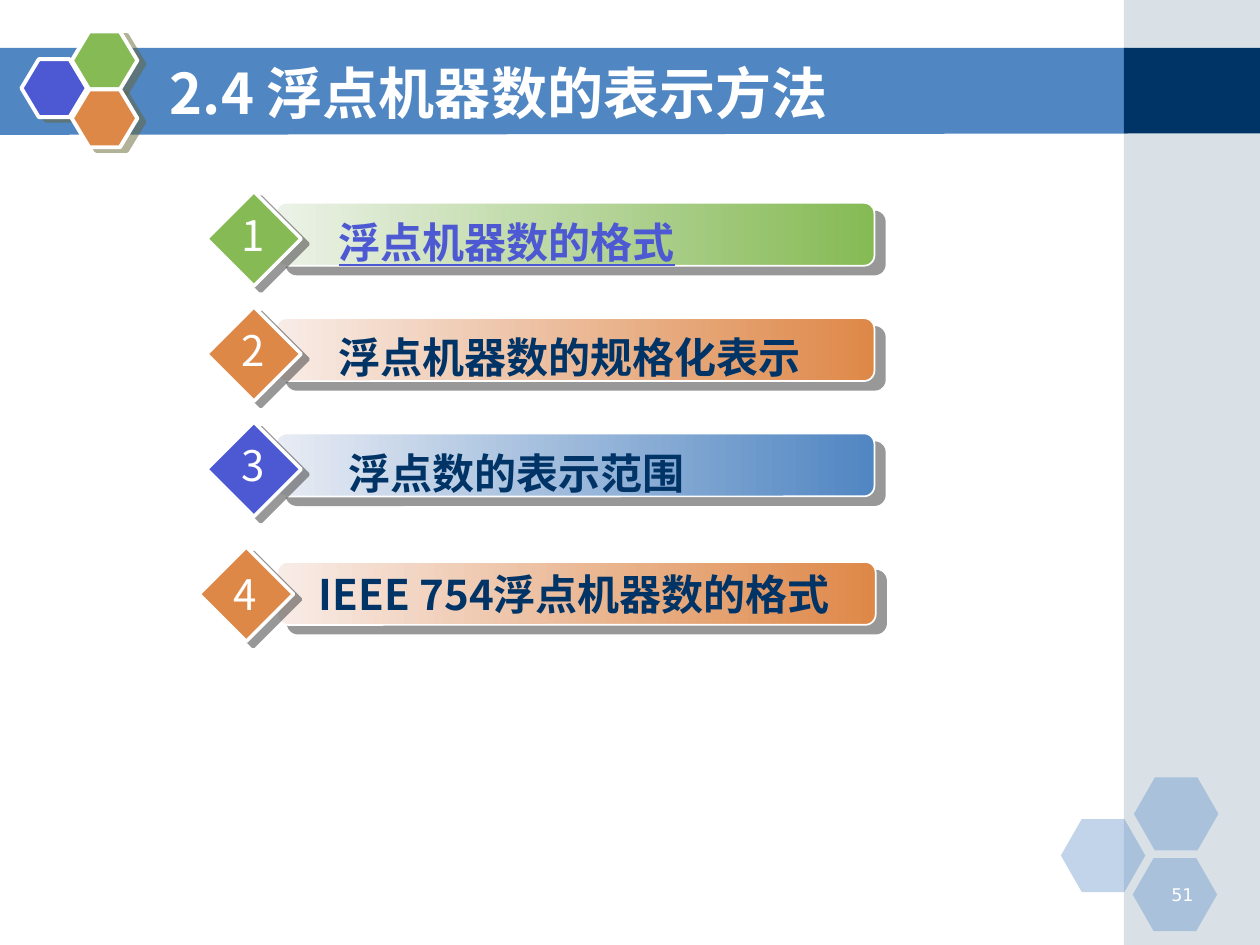
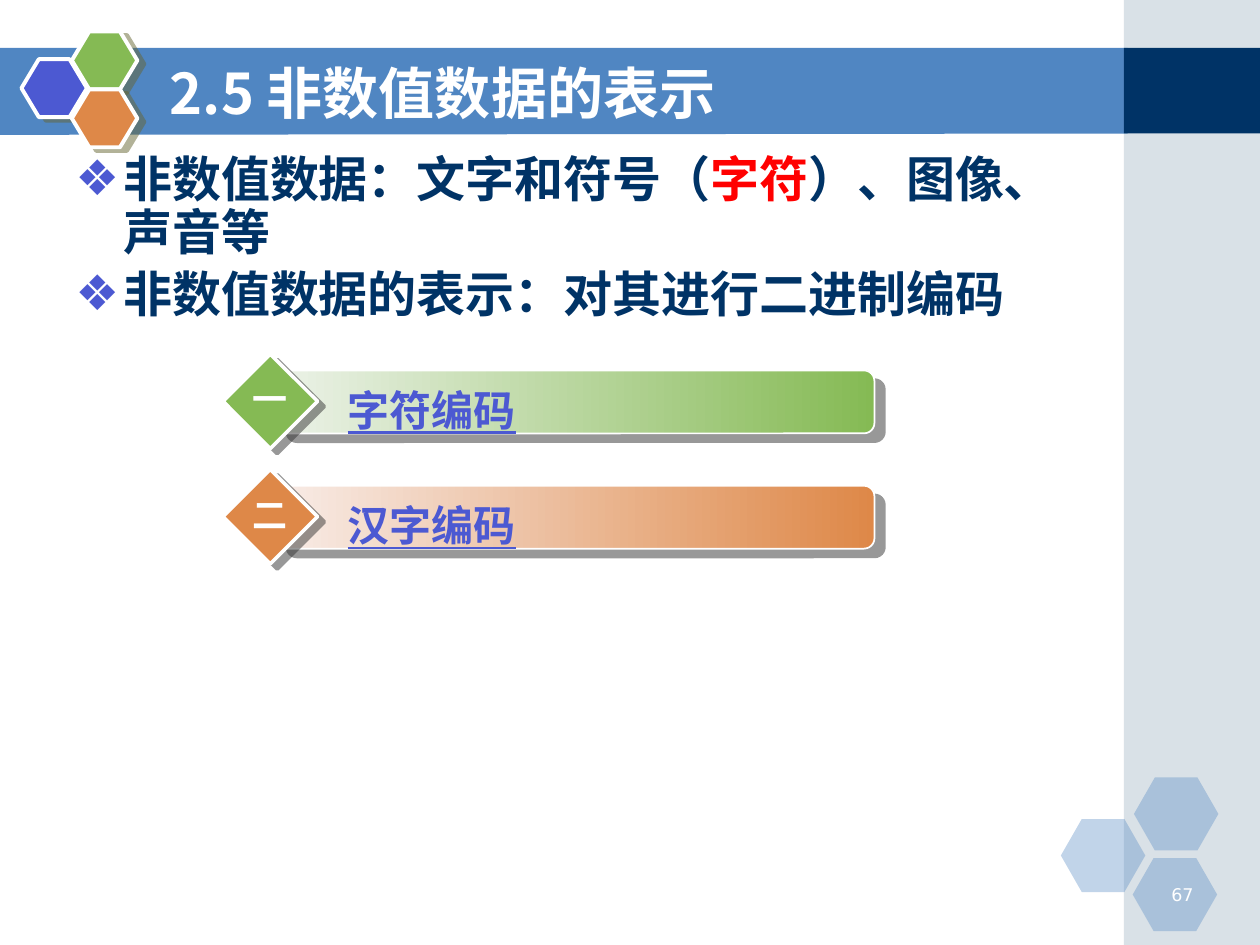
"""Build two section-opening slides of a lecture on number representation."""
from lxml import etree
from pptx import Presentation, util as u
from pptx.dml.color import RGBColor
from pptx.enum import shapes, text
from pptx.oxml import ns

WHITE = RGBColor(0xFF, 0xFF, 0xFF)
NAVY = RGBColor(0x00, 0x33, 0x66)
BLUE = RGBColor(0x50, 0x86, 0xC2)
VIOLET = RGBColor(0x4C, 0x59, 0xD2)
GREEN = RGBColor(0x85, 0xBA, 0x54)
ORANGE = RGBColor(0xDE, 0x88, 0x48)
MIST = RGBColor(0xA0, 0xB5, 0xC4)
RED = RGBColor(0xFF, 0x00, 0x00)
GRAY = RGBColor(0x33, 0x33, 0x33)
OLIVE = RGBColor(0x66, 0x66, 0x33)
PALE = {
    GREEN: RGBColor(0xEC, 0xF2, 0xE8),
    ORANGE: RGBColor(0xF8, 0xEC, 0xE7),
    BLUE: RGBColor(0xE8, 0xEC, 0xF4),
}
FONT = "Noto Sans CJK SC"
WIDE, HIGH = 10, 7.5
SIDE = 8.92
BAND = (0.38, 0.68)
BAR = (4.75, 0.5)
GEM = 0.75
STEP = 0.915

TITLE = dict(size=u.Pt(32), bold=True, color=WHITE)
BODY = dict(size=u.Pt(28), bold=True, color=NAVY)
LABEL = dict(size=u.Pt(24), bold=True, color=NAVY)
LINK = dict(LABEL, color=VIOLET, underline=True)
DIGIT = dict(size=u.Pt(24), color=WHITE)
HAN = dict(size=u.Pt(20), bold=True, color=WHITE)
PAGE = dict(size=u.Pt(10), color=WHITE, name="DejaVu Sans")

BACK_HEXES = [(8.42, 6.5), (9, 6.17), (8.99, 6.81)]
LOGO_HEXES = [(0.17, 0.47, VIOLET), (0.57, 0.25, GREEN), (0.57, 0.71, ORANGE)]

# Each row: mark, label, label style, gem colour, bar colour, label left.
FIRST = [
    ("1", "浮点机器数的格式", LINK, GREEN, GREEN, 2.69),
    ("2", "浮点机器数的规格化表示", LABEL, ORANGE, ORANGE, 2.69),
    ("3", "浮点数的表示范围", LABEL, VIOLET, BLUE, 2.77),
]
LAST = [("4", "IEEE 754浮点机器数的格式", LABEL, ORANGE, ORANGE, 2.53)]
CODES = [
    ("一", "字符编码", LINK, GREEN, GREEN, 2.76),
    ("二", "汉字编码", LINK, ORANGE, ORANGE, 2.76),
]
POINTS = [
    [("非数值数据：文字和符号（", BODY), ("字符", dict(BODY, color=RED)),
     ("）、图像、声音等", BODY)],
    [("非数值数据的表示：对其进行二进制编码", BODY)],
]
SLIDES = [
    dict(title="2.4 浮点机器数的表示方法", page="51", points=[], lists=[
        dict(rows=FIRST, left=2.19, top=1.61, gem=(0.55, 0.09), drop=0.06,
             mark=DIGIT, lift=0),
        dict(rows=LAST, left=2.2, top=4.46, gem=(0.62, 0.12), drop=0,
             mark=DIGIT, lift=0)]),
    dict(title="2.5 非数值数据的表示", page="67", points=POINTS, lists=[
        dict(rows=CODES, left=2.19, top=2.94, gem=(0.42, 0.13), drop=0.06,
             mark=HAN, lift=0.01)]),
]


def add_tag(root, tag, **attrs):
    """Append one drawing element with its attributes."""
    node = etree.SubElement(root, ns.qn(tag))
    for key, val in attrs.items():
        node.set(key, str(val))
    return node


def paint(shape, fill, line=0, alpha=100, shade=None):
    """Give a shape its fill, outline and shadow."""
    shape.shadow.inherit = False
    if isinstance(fill, tuple) and not isinstance(fill, RGBColor):
        shape.fill.gradient()
        shape.fill.gradient_angle = 0
        for stop, tone in zip(shape.fill.gradient_stops, fill):
            stop.color.rgb = tone
    else:
        shape.fill.solid()
        shape.fill.fore_color.rgb = fill
    props = shape.element.spPr
    if alpha < 100:
        tone = props.find(ns.qn("a:solidFill")).find(ns.qn("a:srgbClr"))
        add_tag(tone, "a:alpha", val=alpha * 1000)
    if line:
        shape.line.color.rgb = WHITE
        shape.line.width = u.Pt(line)
    else:
        shape.line.fill.background()
    if shade:
        tone, dist, angle = shade
        cast = add_tag(props.find(ns.qn("a:effectLst")), "a:outerShdw",
                       dist=u.Pt(dist), dir=angle * 60000, algn="ctr",
                       rotWithShape=0)
        add_tag(add_tag(cast, "a:srgbClr", val=tone), "a:alpha", val=50000)


def add_form(slide, kind, box, fill, adj=None, **look):
    """Add a painted preset shape."""
    form = slide.shapes.add_shape(kind, *map(u.Inches, box))
    if adj is not None:
        form.adjustments[0] = adj
    paint(form, fill, **look)


def add_runs(para, runs):
    """Write styled runs into a paragraph."""
    for words, style in runs:
        run = para.add_run()
        run.text = words
        for key, val in {"name": FONT, **style}.items():
            if key == "color":
                run.font.color.rgb = val
            else:
                setattr(run.font, key, val)
        add_tag(run.font._element, "a:ea", typeface=FONT)


def add_text(slide, box, runs, align=text.PP_ALIGN.LEFT, **frame):
    """Add a text box holding one paragraph."""
    area = slide.shapes.add_textbox(*map(u.Inches, box)).text_frame
    for key, val in {"word_wrap": True, **frame}.items():
        setattr(area, key, val)
    area.paragraphs[0].alignment = align
    add_runs(area.paragraphs[0], runs)
    return area


def add_base(slide, title, page):
    """Draw the band, side strip, hexagons, page number and title."""
    top, tall = BAND
    ends = [(8.95, top), (8.95, top + tall), (-0.01, top + tall + 0.01)]
    pen = slide.shapes.build_freeform(u.Inches(-0.01), u.Inches(top), scale=1.0)
    pen.add_line_segments([(u.Inches(x), u.Inches(y)) for x, y in ends])
    paint(pen.convert_to_shape(), BLUE)
    kind = shapes.MSO_SHAPE
    wide = WIDE - SIDE
    add_form(slide, kind.RECTANGLE, (SIDE, 0, wide, HIGH), MIST, alpha=40)
    add_form(slide, kind.RECTANGLE, (SIDE, top, wide, tall), NAVY)
    for x, y in BACK_HEXES:
        add_form(slide, kind.HEXAGON, (x, y, 0.67, 0.58), BLUE, 0.286, alpha=35)
    for x, y, tone in LOGO_HEXES:
        add_form(slide, kind.HEXAGON, (x, y, 0.52, 0.46), tone, 0.3,
                 line=2.25, shade=(OLIVE, 4.5, 27))
    add_text(slide, (9.07, 6.97, 0.5, 0.25), [(page, PAGE)],
             text.PP_ALIGN.RIGHT)
    add_text(slide, (1.25, 0.42, 7.33, 0.62), [(title, TITLE)],
             vertical_anchor=text.MSO_ANCHOR.MIDDLE)


def add_list(slide, rows, left, top, gem, drop, mark, lift):
    """Draw rows of a gradient bar with a numbered diamond."""
    kind = shapes.MSO_SHAPE
    for i, (sign, label, style, tone, hue, start) in enumerate(rows):
        y = top + i * STEP
        x, peak = left - gem[0], y - gem[1]
        add_form(slide, kind.ROUNDED_RECTANGLE, (left, y, *BAR),
                 (PALE[hue], hue), 0.167, line=1, shade=(GRAY, 7.8, 40))
        add_form(slide, kind.DIAMOND, (x, peak, GEM, GEM), tone,
                 line=2, shade=(GRAY, 5, 37))
        add_text(slide, (start, y + drop, 4.6, 0.5), [(label, style)],
                 margin_left=0)
        add_text(slide, (x + 0.12, y + lift, 0.5, 0.5), [(sign, mark)],
                 text.PP_ALIGN.CENTER, word_wrap=False)


def add_points(slide, points):
    """Write the bulleted body text."""
    area = add_text(slide, (0.5, 1.18, 7.75, 1.63), [])
    for i, runs in enumerate(points):
        para = area.add_paragraph() if i else area.paragraphs[0]
        para.line_spacing = 0.9
        para.space_before = u.Pt(5.6 if i else 0)
        props = para._p.get_or_add_pPr()
        props.set("marL", str(u.Inches(0.38)))
        props.set("indent", str(-u.Inches(0.38)))
        add_tag(add_tag(props, "a:buClr"), "a:srgbClr", val=VIOLET)
        add_tag(props, "a:buFont", typeface="DejaVu Sans")
        add_tag(props, "a:buChar", char="❖")
        add_runs(para, runs)


def main():
    """Build and save the deck."""
    deck = Presentation()
    deck.slide_width, deck.slide_height = u.Inches(WIDE), u.Inches(HIGH)
    for page in SLIDES:
        slide = deck.slides.add_slide(deck.slide_layouts[6])
        add_base(slide, page["title"], page["page"])
        if page["points"]:
            add_points(slide, page["points"])
        for group in page["lists"]:
            add_list(slide, **group)
    deck.save("out.pptx")


if __name__ == "__main__":
    main()
